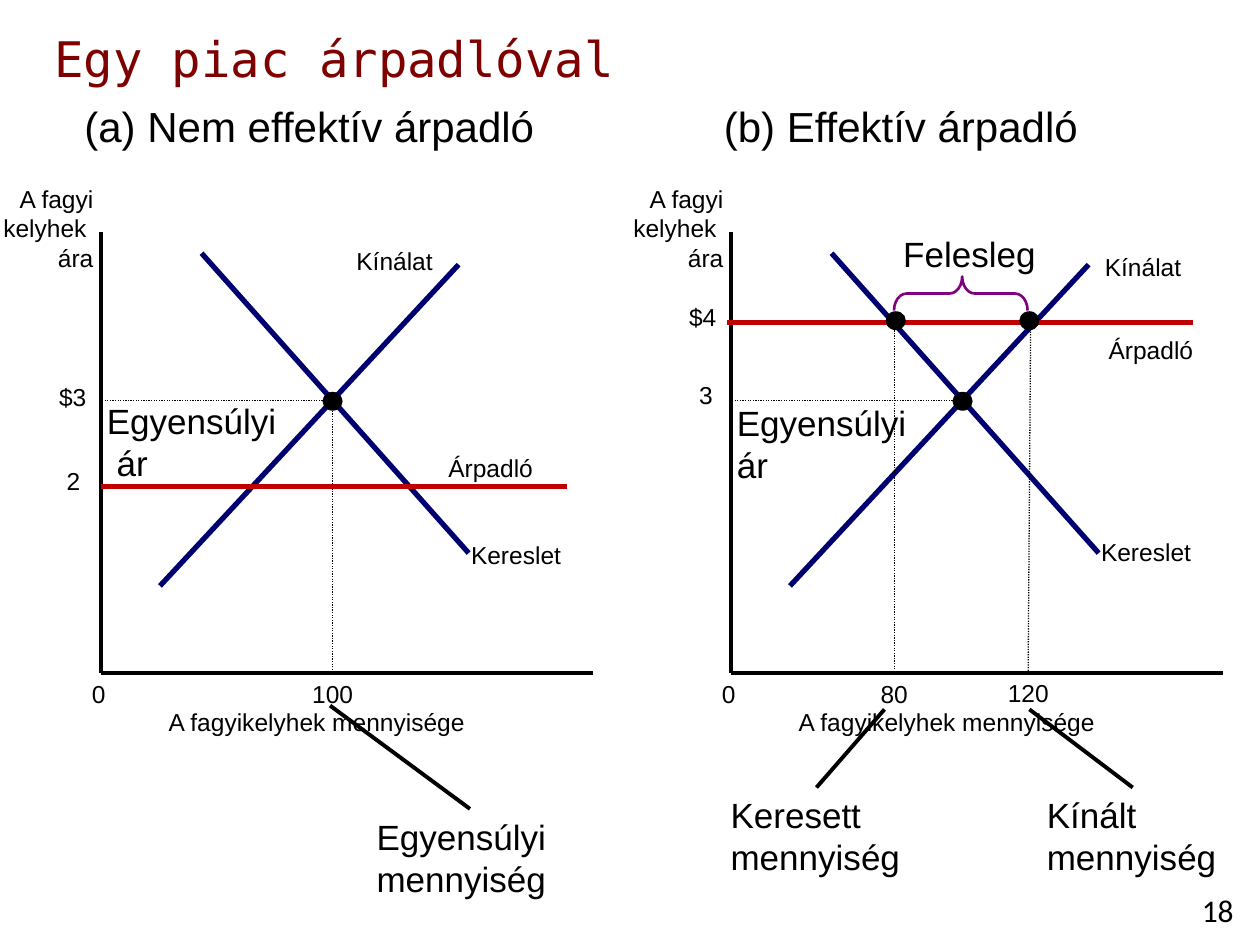
from dataclasses import dataclass

from lxml import etree
from pptx import Presentation
from pptx.dml.color import RGBColor
from pptx.enum import dml, shapes, text
from pptx.util import Emu, Pt

PX = 9144
LEFT, MID, RIGHT = text.PP_ALIGN.LEFT, text.PP_ALIGN.CENTER, text.PP_ALIGN.RIGHT


@dataclass(frozen=True)
class Theme:
    font: str = "Arial"
    mono: str = "DejaVu Sans Mono"
    page: str = "Calibri"
    ink: str = "000000"
    white: str = "FFFFFF"
    title: str = "7E0000"
    curve: str = "000070"
    floor: str = "C00000"
    brace: str = "800080"
    small: int = 14
    num: int = 18
    note: int = 20
    head: int = 24
    big: int = 28
    thin: float = 0.75
    mark: float = 1.5
    axis: float = 2.25
    bold: int = 3


T = Theme()


def px(*vals):
    return [Emu(round(v * PX)) for v in vals]


def rgb(tone):
    return RGBColor.from_string(tone)


def style(frame, words, size, font=T.font, tone=T.ink, align=LEFT):
    frame.text = words
    for para in frame.paragraphs:
        para.alignment = align
        for run in para.runs:
            run.font.size = Pt(size)
            run.font.name = font
            run.font.color.rgb = rgb(tone)


class Panel:
    def __init__(self, slide, left, top):
        self.slide = slide
        self.left, self.top = left, top

    def place(self, x, y):
        return px(self.left + x, self.top + y)

    def label(self, words, x, y, w, h=34, size=T.small, align=LEFT, wrap=False, font=T.font):
        box = self.slide.shapes.add_textbox(*self.place(x, y), *px(w, h))
        box.text_frame.word_wrap = wrap
        style(box.text_frame, words, size, font, align=align)

    def note(self, words, x, y, w, h=77):
        self.label(words, x, y, w, h, T.note, wrap=True)

    def line(self, start, end, width, tone=T.ink, dots=False):
        edge = self.slide.shapes.add_connector(
            shapes.MSO_CONNECTOR.STRAIGHT, *self.place(*start), *self.place(*end))
        edge.line.width = Pt(width)
        edge.line.color.rgb = rgb(tone)
        if dots:
            edge.line.dash_style = dml.MSO_LINE.ROUND_DOT
        etree.SubElement(
            edge.element.spPr,
            "{http://schemas.openxmlformats.org/drawingml/2006/main}effectLst")

    def shape(self, kind, x, y, w, h, fill=None, edge=None, width=T.mark):
        item = self.slide.shapes.add_shape(kind, *self.place(x, y), *px(w, h))
        item.shadow.inherit = False
        if fill:
            item.fill.solid()
            item.fill.fore_color.rgb = rgb(fill)
        else:
            item.fill.background()
        if edge:
            item.line.color.rgb = rgb(edge)
            item.line.width = Pt(width)
        else:
            item.line.fill.background()
        return item

    def dot(self, x, y):
        self.shape(shapes.MSO_SHAPE.OVAL, x - 8, y - 7, 16, 15, T.ink)


def draw_market(panel, price, price_at, demand_at, supply_at):
    panel.shape(shapes.MSO_SHAPE.RECTANGLE, 0, 8, 387, 342, T.white, T.white, 2)
    panel.line((0, 0), (0, 350), T.axis)
    panel.line((0, 350), (391, 350), T.axis)
    panel.label("A fagyi\nkelyhek \nára", -88, -43, 92, 81, align=RIGHT)
    panel.label("A fagyikelyhek mennyisége", 44, 372, 256)
    panel.label("0", -17, 350, 31)
    panel.line((80, 17), (292, 255), T.bold, T.curve)
    panel.line((47, 281), (284, 26), T.bold, T.curve)
    panel.line((1, 134), (184, 134), T.thin, dots=True)
    panel.label(price, *price_at)
    panel.label("Kereslet", *demand_at, 94)
    panel.label("Kínálat", *supply_at, 81)
    panel.dot(184, 134)


def draw_floor(panel, start, level, price, price_at, name_at):
    panel.line((start, level), (start + 370, level), T.bold, T.floor)
    panel.label(price, *price_at)
    panel.label("Árpadló", *name_at, 88)


def draw_slack(slide, left, top):
    panel = Panel(slide, left, top)
    panel.label("(a) Nem effektív árpadló", -25, -109, 381, 50, T.head, MID, True)
    draw_market(panel, "$3", (-43, 114, 42), (284, 240), (193, 6))
    panel.line((184, 138), (184, 350), T.thin, dots=True)
    panel.label("100", 158, 350, 53)
    draw_floor(panel, 0, 202, "2", (-37, 181, 31), (266, 171))
    panel.note("Egyensúlyi\n ár", -5, 128, 156)
    panel.note("Egyensúlyi\nmennyiség", 209, 458, 164)
    panel.line((293, 458), (182, 376), T.axis)


def draw_binding(slide, left, top):
    panel = Panel(slide, left, top)
    panel.label("(b) Effektív árpadló", -17, -109, 304, 50, T.head, MID, True)
    draw_market(panel, "3", (-35, 113, 31), (284, 237), (287, 11))
    draw_floor(panel, -3, 72, "$4", (-43, 51, 42), (290, 77))
    panel.note("Egyensúlyi ár", -5, 130, 170)
    panel.line((130, 72), (130, 350), T.thin, dots=True)
    panel.line((238, 71), (236, 349), T.thin, dots=True)
    panel.label("80", 109, 350, 42)
    panel.label("120", 210, 349, 53)
    for x in (131, 237):
        panel.dot(x, 70)
    panel.note("Felesleg", 127, -4, 136, 44)
    brace = panel.shape(shapes.MSO_SHAPE.LEFT_BRACE, 169, -4, 27, 106, edge=T.brace)
    brace.rotation = 90
    brace.adjustments[0], brace.adjustments[1] = 0.37, 0.49
    panel.note("Kínált\nmennyiség", 241, 441, 156)
    panel.note("Keresett\nmennyiség", -10, 441, 156)
    panel.line((319, 441), (237, 379), T.axis)
    panel.line((68, 441), (122, 379), T.axis)


def draw_title(slide, x, y, w, h):
    title = slide.shapes.title
    title.left, title.top, title.width, title.height = px(x, y, w, h)
    title.text_frame.vertical_anchor = text.MSO_ANCHOR.MIDDLE
    style(title.text_frame, "Egy piac árpadlóval", T.big, T.mono, T.title)


def main():
    deck = Presentation()
    deck.slide_width, deck.slide_height = px(1000, 750)
    slide = deck.slides.add_slide(deck.slide_layouts[5])
    draw_title(slide, 33, 17, 967, 58)
    draw_slack(slide, 80, 184)
    draw_binding(slide, 580, 184)
    Panel(slide, 933, 702).label("18", 0, 0, 67, 40, T.num, MID, True, T.page)
    deck.save("out.pptx")


if __name__ == "__main__":
    main()
